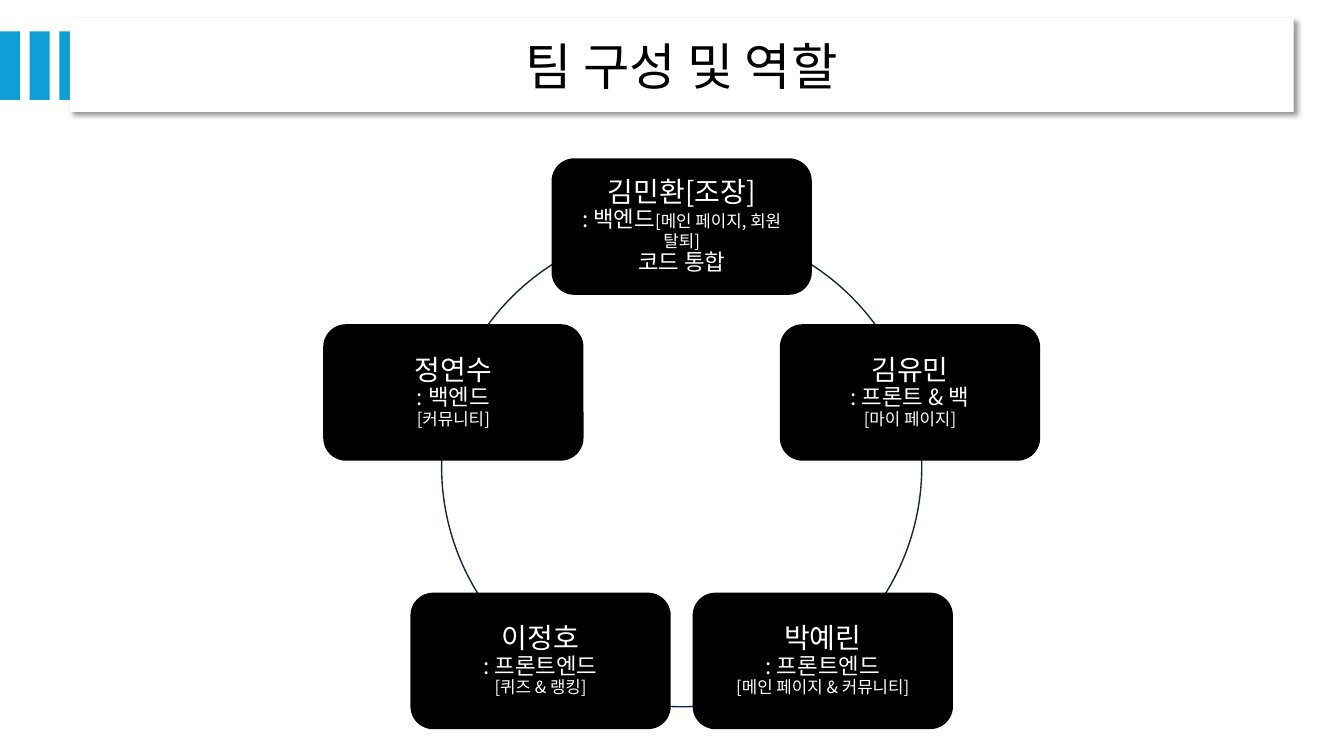
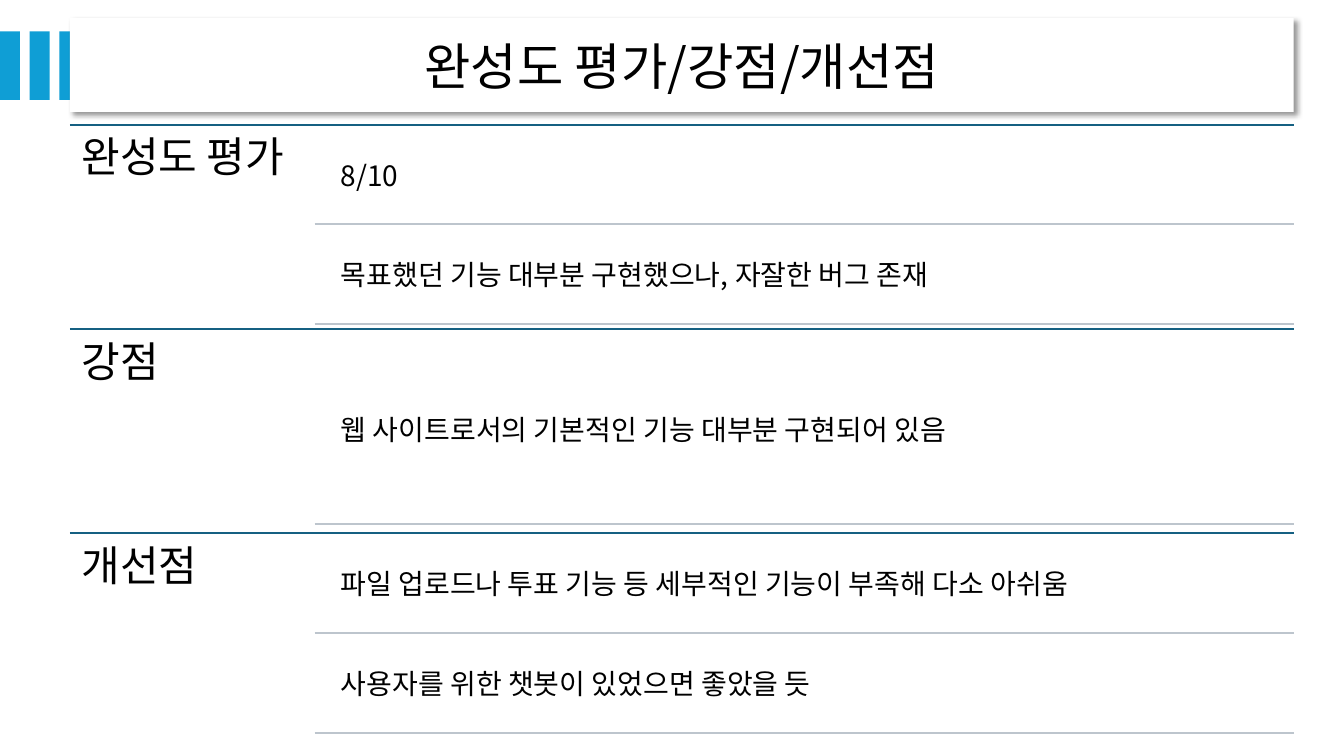
from math import cos, pi, sin

from lxml.etree import SubElement
from pptx import Presentation
from pptx.dml.color import RGBColor
from pptx.enum.shapes import MSO_CONNECTOR as Line, MSO_SHAPE as Shape
from pptx.enum.text import MSO_ANCHOR as Anchor, PP_ALIGN as Align
from pptx.oxml.ns import qn
from pptx.util import Cm, Pt

FONT = "Noto Sans CJK KR"
BLACK, WHITE, ACCENT = "000000", "FFFFFF", "0F9ED5"
RING, SECTION_RULE, ITEM_RULE = "0E2841", "156082", "BDC5CD"
CONTENT_LEFT, CONTENT_WIDTH = 1.76, 30.84
MARGINS = ("margin_left", "margin_top", "margin_right", "margin_bottom")

MEMBERS = [
    [[("김민환[조장]", 20)], [(": 백엔드", 16), ("[메인 페이지, 회원 탈퇴]", 12)], [("코드 통합", 16)]],
    [[("김유민", 20)], [(": 프론트 & 백", 16)], [("[마이 페이지]", 12)]],
    [[("박예린", 20)], [(": 프론트엔드", 16)], [("[메인 페이지 & 커뮤니티]", 12)]],
    [[("이정호", 20)], [(": 프론트엔드", 16)], [("[퀴즈 & 랭킹]", 12)]],
    [[("정연수", 20)], [(": 백엔드", 16)], [("[커뮤니티]", 12)]],
]
REVIEW = [
    ("완성도 평가", ["8/10", "목표했던 기능 대부분 구현했으나, 자잘한 버그 존재"]),
    ("강점", ["웹 사이트로서의 기본적인 기능 대부분 구현되어 있음"]),
    ("개선점", ["파일 업로드나 투표 기능 등 세부적인 기능이 부족해 다소 아쉬움",
             "사용자를 위한 챗봇이 있었으면 좋았을 듯"]),
]


def color(hex_value):
    """Return the colour for a hex string."""
    return RGBColor.from_string(hex_value)


def apply(target, formats):
    """Set each attribute named in a dict of format values."""
    for name, value in formats.items():
        setattr(target, name, value)


def write(box, lines, ink, align=Align.LEFT, anchor=Anchor.MIDDLE, inset=None, spacing=1.0):
    """Write lines of (text, size) spans as one paragraph."""
    frame = box.text_frame
    apply(frame, {"word_wrap": True, "vertical_anchor": anchor})
    if inset is not None:
        apply(frame, {margin: Cm(inset) for margin in MARGINS})
    para = frame.paragraphs[0]
    apply(para, {"alignment": align, "line_spacing": spacing})
    for number, line in enumerate(lines):
        if number:
            para.add_line_break()
        for text, size in line:
            span = para.add_run()
            span.text = text
            apply(span.font, {"size": Pt(size), "name": FONT})
            span.font.color.rgb = color(ink)
            SubElement(span.font._element, qn("a:ea"), typeface=FONT)


def add_block(page, kind, left, top, width, height, fill=None):
    """Add a preset shape without outline or shadow."""
    block = page.shapes.add_shape(kind, Cm(left), Cm(top), Cm(width), Cm(height))
    block.shadow.inherit = False
    block.line.fill.background()
    if fill:
        block.fill.solid()
        block.fill.fore_color.rgb = color(fill)
    else:
        block.fill.background()
    return block


def add_text(page, left, top, width, height, text, size, **formats):
    """Add a text box holding one line of black text."""
    box = page.shapes.add_textbox(Cm(left), Cm(top), Cm(width), Cm(height))
    write(box, [[(text, size)]], BLACK, spacing=0.9, **formats)


def add_rule(page, left, right, top, hex_value):
    """Add a horizontal rule."""
    rule = page.shapes.add_connector(Line.STRAIGHT, Cm(left), Cm(top), Cm(right), Cm(top))
    rule.line.color.rgb = color(hex_value)
    rule.line.width = Pt(1.5)
    SubElement(rule._element.spPr, qn("a:effectLst"))


def add_shadow(block):
    """Give a shape a soft shadow to the lower right."""
    effects = block._element.spPr.find(qn("a:effectLst"))
    shadow = SubElement(effects, qn("a:outerShdw"), blurRad=str(Pt(4)), dist=str(Pt(3)),
                        dir="2700000", algn="tl", rotWithShape="0")
    ink = SubElement(shadow, qn("a:srgbClr"), val=BLACK)
    SubElement(ink, qn("a:alpha"), val="40000")


def add_page(deck, title):
    """Add a blank page with the accent bars and the title band."""
    page = deck.slides.add_slide(deck.slide_layouts[6])
    for number in range(3):
        add_block(page, Shape.RECTANGLE, number * 0.75, 0.79, 0.5, 1.73, ACCENT)
    band = add_block(page, Shape.RECTANGLE, CONTENT_LEFT, 0.46, CONTENT_WIDTH, 2.36, WHITE)
    add_shadow(band)
    write(band, [[(title, 36)]], BLACK, align=Align.CENTER)
    return page


def add_team_ring(page, center_x, center_y, radius, members):
    """Place the members clockwise at equal angles on a ring."""
    width, height = 6.56, 3.44
    ring = add_block(page, Shape.OVAL, center_x - radius, center_y - radius, 2 * radius, 2 * radius)
    ring.line.color.rgb = color(RING)
    ring.line.width = Pt(1)
    for number, lines in enumerate(members):
        angle = 2 * pi * number / len(members)
        left = center_x + radius * sin(angle) - width / 2
        top = center_y - radius * cos(angle) - height / 2
        card = add_block(page, Shape.ROUNDED_RECTANGLE, left, top, width, height, BLACK)
        write(card, lines, WHITE, align=Align.CENTER, inset=0.2, spacing=0.9)


def add_section(page, left, top, width, height, label, items):
    """Place a label with its ruled items on the right."""
    label_width, indent, right = width * 0.2, 0.46, left + width
    item_height = height / (len(items) + 0.05 * (len(items) + 1))
    gap = item_height * 0.05
    item_left = left + label_width + indent
    add_rule(page, left, right, top, SECTION_RULE)
    add_text(page, left, top, label_width, height, label, 30, anchor=Anchor.TOP, inset=0.3)
    for number, item in enumerate(items):
        item_top = top + gap + number * (item_height + gap)
        add_text(page, item_left, item_top, right - item_left, item_height, item, 20, inset=0.2)
        add_rule(page, left + label_width, right, item_top + item_height, ITEM_RULE)


def add_review(page, left, top, width, height, sections):
    """Stack the review sections at equal heights."""
    section_height = height / len(sections)
    for number, (label, items) in enumerate(sections):
        add_section(page, left, top + number * section_height, width, section_height, label, items)


def main():
    """Build and save the deck."""
    deck = Presentation()
    apply(deck, {"slide_width": Cm(33.87), "slide_height": Cm(19.05)})
    add_team_ring(add_page(deck, "팀 구성 및 역할"), 17.18, 11.76, 6.05, MEMBERS)
    page = add_page(deck, "완성도 평가/강점/개선점")
    add_review(page, CONTENT_LEFT, 3.14, CONTENT_WIDTH, 15.45, REVIEW)
    deck.save("out.pptx")


if __name__ == "__main__":
    main()
